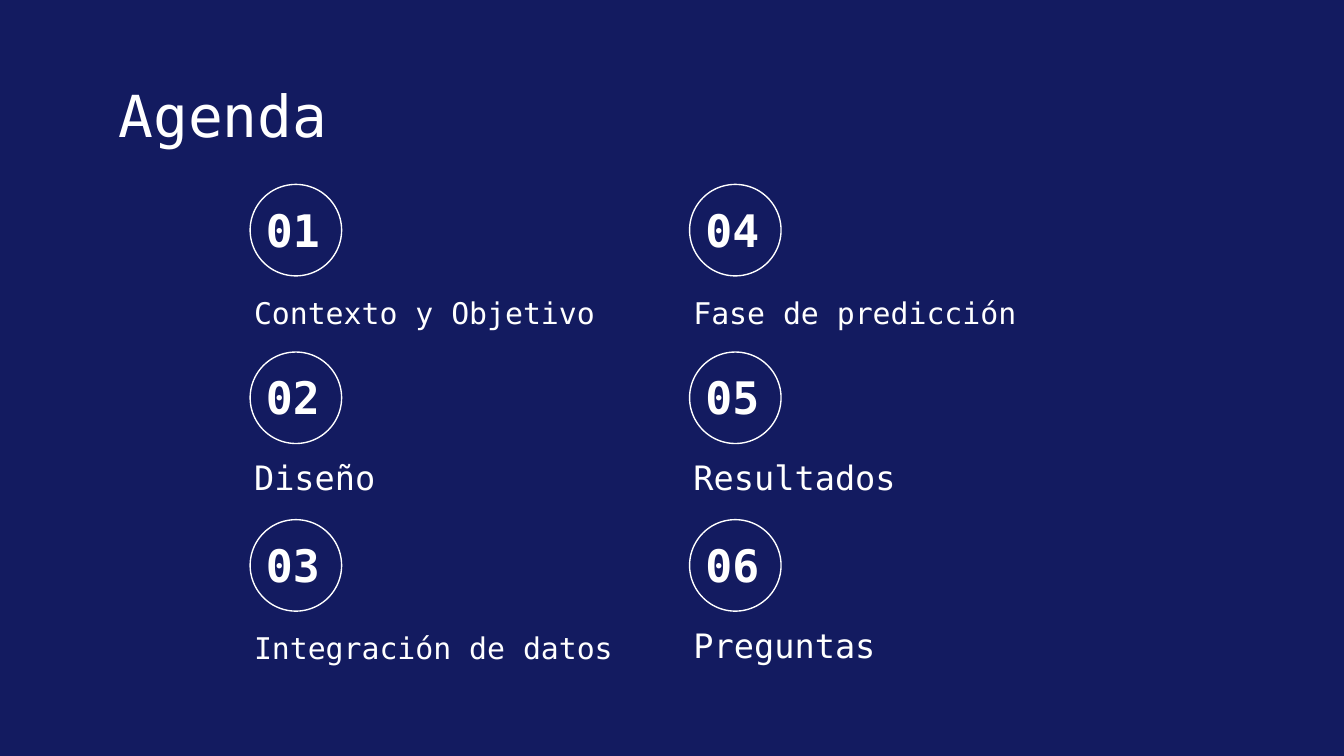
import dataclasses

import pptx
import pptx.dml.color
import pptx.enum.shapes
import pptx.enum.text
import pptx.util

Pt = pptx.util.Pt
Anchor = pptx.enum.text.MSO_ANCHOR


@dataclasses.dataclass(frozen=True)
class Theme:
    font: str = "DejaVu Sans Mono"
    background: str = "131B60"
    foreground: str = "FFFFFF"
    title_size: int = 31
    number_size: int = 24
    topic_size: int = 18
    long_topic_size: int = 16


def rgb(value):
    return pptx.dml.color.RGBColor.from_string(value)


def write_text(frame, text, *, theme, size, bold=False, anchor=Anchor.BOTTOM, bottom=0):
    frame.word_wrap = True
    frame.auto_size = pptx.enum.text.MSO_AUTO_SIZE.NONE
    frame.vertical_anchor = anchor
    frame.margin_left = frame.margin_right = frame.margin_top = Pt(7.2)
    frame.margin_bottom = Pt(bottom)
    paragraph = frame.paragraphs[0]
    paragraph.alignment = pptx.enum.text.PP_ALIGN.LEFT
    paragraph.line_spacing = 1.0
    paragraph.space_before = Pt(0)
    run = paragraph.add_run()
    run.text = text
    run.font.name = theme.font
    run.font.size = Pt(size)
    run.font.bold = bold
    run.font.color.rgb = rgb(theme.foreground)


class AgendaSlide:
    """Draws the parts of an agenda on one slide in a given theme."""

    def __init__(self, slide, theme):
        self.slide = slide
        self.theme = theme
        slide.background.fill.solid()
        slide.background.fill.fore_color.rgb = rgb(theme.background)

    def heading(self, text, left, top, width, height):
        title = self.slide.shapes.title
        title.left, title.top = Pt(left), Pt(top)
        title.width, title.height = Pt(width), Pt(height)
        write_text(title.text_frame, text, theme=self.theme,
                   size=self.theme.title_size, anchor=Anchor.TOP, bottom=7.2)

    def ring(self, left, top, diameter):
        ring = self.slide.shapes.add_shape(
            pptx.enum.shapes.MSO_SHAPE.OVAL,
            Pt(left), Pt(top), Pt(diameter), Pt(diameter))
        ring.shadow.inherit = False
        ring.fill.background()
        ring.line.color.rgb = rgb(self.theme.foreground)
        ring.line.width = Pt(0.75)

    def label(self, text, left, top, width, height, **style):
        label = self.slide.shapes.add_textbox(Pt(left), Pt(top), Pt(width), Pt(height))
        write_text(label.text_frame, text, theme=self.theme, **style)

    def entry(self, number, topic, left, top):
        theme = self.theme
        topic_size = theme.long_topic_size if len(topic) > 12 else theme.topic_size
        self.ring(left, top, 49)
        self.label(f"{number:02}", left + 1.4, top + 6.8, 49, 31.7,
                   size=theme.number_size, bold=True)
        self.label(topic, left - 5, top + 54.2, 226.8, 23.8, size=topic_size)


def main():
    deck = pptx.Presentation()
    deck.slide_width, deck.slide_height = Pt(720), Pt(405)
    agenda = AgendaSlide(deck.slides.add_slide(deck.slide_layouts[5]), Theme())
    agenda.heading("Agenda", 56.2, 35.3, 607.7, 45.4)
    topics = ["Contexto y Objetivo", "Diseño", "Integración de datos",
              "Fase de predicción", "Resultados", "Preguntas"]
    rows = 3
    for index, topic in enumerate(topics):
        column, row = divmod(index, rows)
        agenda.entry(index + 1, topic, 134 + 235.4 * column, 98.8 + 89.8 * row)
    deck.save("out.pptx")


if __name__ == "__main__":
    main()
